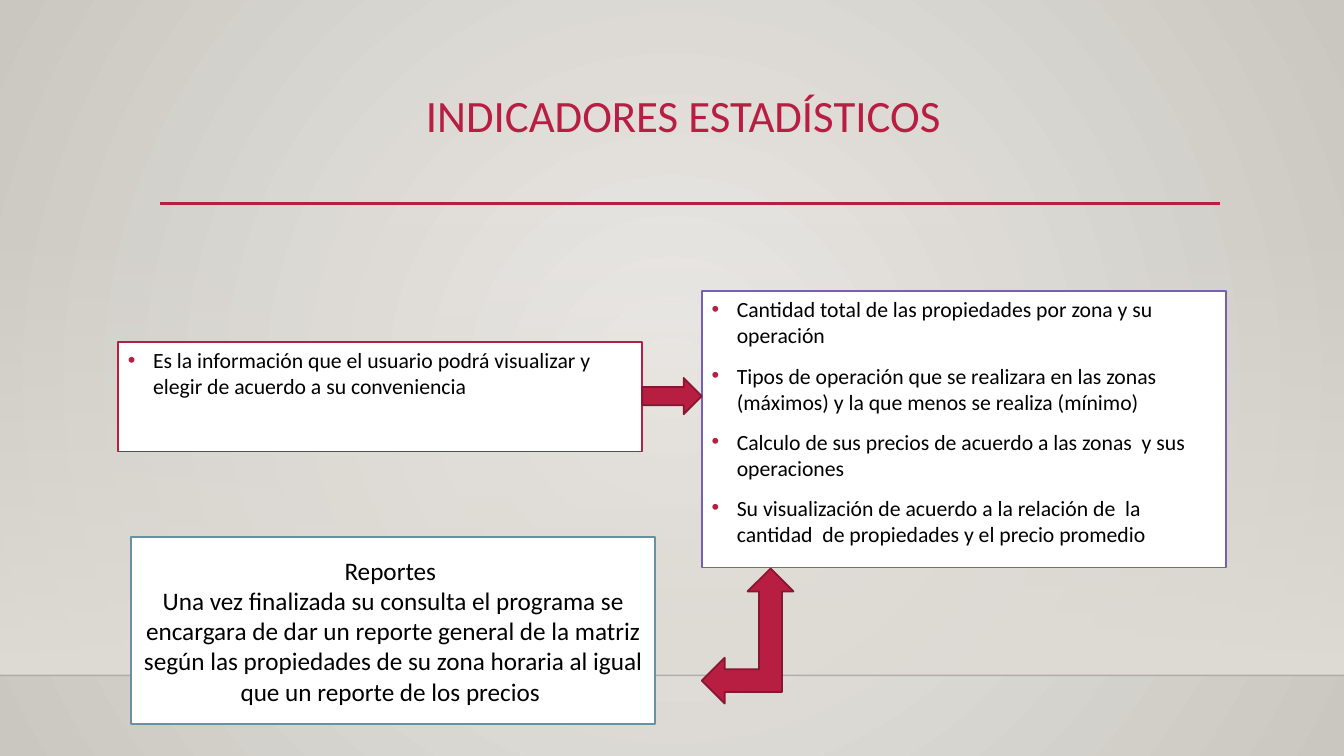
"""Build the slide on statistical indicators."""
from dataclasses import dataclass

from pptx import Presentation
from pptx.dml.color import RGBColor
from pptx.enum import shapes, text
from pptx.oxml import ns
from pptx import util as u
from lxml import etree

COLORS = {
    "red": "B71E42", "dark_red": "871631", "purple": "795FAF", "teal": "6892A0",
    "white": "FFFFFF", "black": "000000", "horizon": "000001",
    "center": "ECEAE7", "edge": "CAC7C1", "floor": "DFDBD5",
}
FONT = "Calibri"


@dataclass(frozen=True)
class Rule:
    x1: float
    x2: float
    y: float
    color: str
    width: float
    opacity: int = 100


@dataclass(frozen=True)
class Block:
    box: tuple[float, float, float, float]
    fill: str
    line: str
    kind: shapes.MSO_SHAPE = shapes.MSO_SHAPE.RECTANGLE
    lines: tuple[str, ...] = ()
    size: float = 15.5
    bulleted: bool = True


RULES = [
    Rule(0, 13.33, 6.7, "horizon", 1, 20),
    Rule(1.59, 12.1, 2.02, "red", 2.5),
]
BLOCKS = [
    Block((1.17, 3.39, 5.2, 1.09), "white", "red", lines=(
        "Es la información que el usuario podrá visualizar y elegir de acuerdo a su conveniencia",
    )),
    Block((6.96, 2.89, 5.2, 2.74), "white", "purple", lines=(
        "Cantidad total de las propiedades por zona y su operación",
        "Tipos de operación que se realizara en las zonas (máximos) y la que menos se realiza (mínimo)",
        "Calculo de sus precios de acuerdo a las zonas  y sus operaciones",
        "Su visualización de acuerdo a la relación de  la cantidad  de propiedades y el precio promedio",
    )),
    Block((6.37, 3.75, 0.59, 0.36), "red", "dark_red", shapes.MSO_SHAPE.RIGHT_ARROW),
    Block((6.96, 5.64, 0.91, 1.34), "red", "dark_red", shapes.MSO_SHAPE.LEFT_UP_ARROW),
    Block((1.3, 5.33, 5.2, 1.85), "white", "teal", size=18, bulleted=False, lines=(
        "Reportes ",
        "Una vez finalizada su consulta el programa se encargara de dar un reporte general "
        "de la matriz según las propiedades de su zona horaria al igual que un reporte de los precios ",
    )),
]


def rgb(name: str) -> RGBColor:
    return RGBColor.from_string(COLORS[name])


def add(parent, tag: str, **attrs: str):
    return etree.SubElement(parent, ns.qn(tag), attrs)


def set_gradient(fill, start: str, end: str) -> None:
    fill.gradient()
    for stop, name in zip(fill.gradient_stops, (start, end)):
        stop.color.rgb = rgb(name)


def set_opacity(element, percent: int) -> None:
    color = next(element.iter(ns.qn("a:srgbClr")))
    add(color, "a:alpha", val=str(percent * 1000))


def add_background(s) -> None:
    set_gradient(s.background.fill, "center", "edge")
    grad = next(s.element.iter(ns.qn("a:gradFill")))
    for lin in grad.findall(ns.qn("a:lin")):
        grad.remove(lin)
    radial = add(grad, "a:path", path="circle")
    add(radial, "a:fillToRect", **dict.fromkeys("ltrb", "50000"))


def add_floor(s) -> None:
    sp = s.shapes.add_shape(shapes.MSO_SHAPE.RECTANGLE,
                            *map(u.Inches, (0, 2.21, 13.33, 4.49)))
    sp.shadow.inherit = False
    sp.line.fill.background()
    set_gradient(sp.fill, "floor", "floor")
    sp.fill.gradient_angle = 270
    set_opacity(sp.element.spPr, 0)


def add_rule(s, rule: Rule) -> None:
    cxn = s.shapes.add_connector(shapes.MSO_CONNECTOR.STRAIGHT,
                                 *map(u.Inches, (rule.x1, rule.y, rule.x2, rule.y)))
    cxn.line.color.rgb = rgb(rule.color)
    cxn.line.width = u.Pt(rule.width)
    if rule.opacity < 100:
        set_opacity(cxn.line._ln, rule.opacity)
    add(cxn._element.spPr, "a:effectLst")


def add_run(p, content: str, size: float, color: str) -> None:
    r = p.add_run()
    r.text = content
    r.font.name = FONT
    r.font.size = u.Pt(size)
    r.font.color.rgb = rgb(color)


def add_title(s) -> None:
    tf = s.shapes.add_textbox(*map(u.Inches, (1.58, 0.88, 10.5, 1.16))).text_frame
    tf.word_wrap = True
    p = tf.paragraphs[0]
    p.alignment = text.PP_ALIGN.CENTER
    p.line_spacing = 0.9
    add_run(p, "INDICADORES ESTADÍSTICOS ", 32, "red")


def set_bullet(p) -> None:
    p.alignment = text.PP_ALIGN.LEFT
    p.space_before = u.Pt(10)
    pPr = p._p.get_or_add_pPr()
    indent = u.Inches(0.25)
    pPr.set("marL", str(indent))
    pPr.set("indent", str(-indent))
    add(add(pPr, "a:buClr"), "a:srgbClr", val=COLORS["red"])
    add(pPr, "a:buFont", typeface="Arial")
    add(pPr, "a:buChar", char="•")


def add_block(s, block: Block) -> None:
    sp = s.shapes.add_shape(block.kind, *map(u.Inches, block.box))
    sp.shadow.inherit = False
    sp.fill.solid()
    sp.fill.fore_color.rgb = rgb(block.fill)
    sp.line.color.rgb = rgb(block.line)
    sp.line.width = u.Pt(1.25)
    tf = sp.text_frame
    tf.word_wrap = True
    tf.vertical_anchor = text.MSO_ANCHOR.TOP if block.bulleted else text.MSO_ANCHOR.MIDDLE
    for i, content in enumerate(block.lines):
        p = tf.add_paragraph() if i else tf.paragraphs[0]
        if block.bulleted:
            set_bullet(p)
        else:
            p.alignment = text.PP_ALIGN.CENTER
        add_run(p, content, block.size, "black")


def main() -> None:
    prs = Presentation()
    prs.slide_width, prs.slide_height = u.Inches(13.33), u.Inches(7.5)
    s = prs.slides.add_slide(prs.slide_layouts[6])
    add_background(s)
    add_floor(s)
    for rule in RULES:
        add_rule(s, rule)
    add_title(s)
    for block in BLOCKS:
        add_block(s, block)
    prs.save("out.pptx")


if __name__ == "__main__":
    main()
